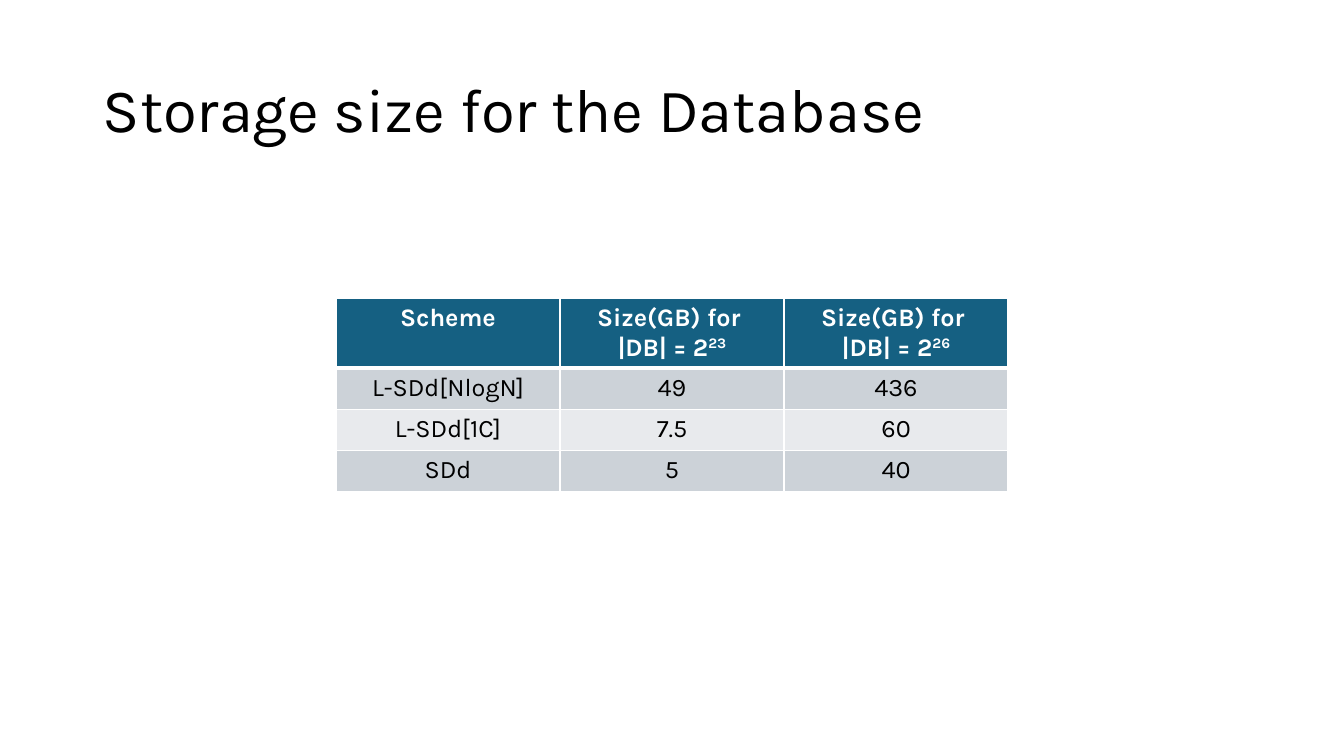
from dataclasses import dataclass

from lxml import etree
from pptx import Presentation
from pptx.dml.color import RGBColor
from pptx.enum.text import MSO_ANCHOR, PP_ALIGN
from pptx.oxml.ns import qn
from pptx.util import Inches, Pt

LEFT, CENTER = PP_ALIGN.LEFT, PP_ALIGN.CENTER
MIDDLE = MSO_ANCHOR.MIDDLE
TITLE_ONLY = 5


@dataclass(frozen=True)
class Theme:
    font: str = "Karla"
    title_size: int = 44
    table_size: int = 18
    ink: str = "000000"
    paper: str = "FFFFFF"
    header: str = "156082"
    bands: tuple = ("CCD2D8", "E8EAED")
    thin: int = 1
    thick: int = 3


THEME = Theme()
SLIDE_W, SLIDE_H = Inches(13.33), Inches(7.5)
HEADER_H, ROW_H = Inches(0.68), Inches(0.41)

# A cell is a list of paragraphs; a paragraph is a list of (text, superscript) runs.
HEADERS = [[[("Scheme", False)]]] + [
    [[("Size(GB) for ", False)], [("|DB| = 2", False), (power, True)]]
    for power in ("23", "26")
]
SCHEMES = [
    ("L-SDd[NlogN]", "49", "436"),
    ("L-SDd[1C]", "7.5", "60"),
    ("SDd", "5", "40"),
]


def add_run(p, text, size, color, bold=False, superscript=False):
    r = p.add_run()
    r.text = text
    r.font.name = THEME.font
    r.font.size = Pt(size)
    r.font.bold = bold
    r.font.color.rgb = RGBColor.from_string(color)
    if superscript:
        r._r.get_or_add_rPr().set("baseline", "30000")


def set_title(s, text):
    sp = s.shapes.title
    sp.left, sp.top = int(SLIDE_W * 0.069), int(SLIDE_H * 0.053)
    sp.width, sp.height = int(SLIDE_W * 0.8625), int(SLIDE_H * 0.193)
    tf = sp.text_frame
    tf.word_wrap = True
    tf.vertical_anchor = MIDDLE
    p = tf.paragraphs[0]
    p.alignment = LEFT
    p.line_spacing = 0.9
    add_run(p, text, THEME.title_size, THEME.ink)


def set_borders(cell, top, bottom):
    tcPr = cell._tc.get_or_add_tcPr()
    widths = {"lnL": THEME.thin, "lnR": THEME.thin, "lnT": top, "lnB": bottom}
    for side, width in widths.items():
        ln = etree.SubElement(tcPr, qn(f"a:{side}"), w=str(Pt(width)))
        fill = etree.SubElement(ln, qn("a:solidFill"))
        etree.SubElement(fill, qn("a:srgbClr"), val=THEME.paper)


def fill_cell(cell, paragraphs, row):
    is_header = row == 0
    set_borders(cell,
                top=THEME.thick if row == 1 else THEME.thin,
                bottom=THEME.thick if is_header else THEME.thin)
    background = THEME.header if is_header else THEME.bands[(row - 1) % 2]
    cell.fill.solid()
    cell.fill.fore_color.rgb = RGBColor.from_string(background)
    tf = cell.text_frame
    for i, runs in enumerate(paragraphs):
        p = tf.add_paragraph() if i else tf.paragraphs[0]
        p.alignment = CENTER
        for text, superscript in runs:
            add_run(p, text, THEME.table_size,
                    THEME.paper if is_header else THEME.ink,
                    is_header, superscript)


def add_size_table(s):
    rows = [HEADERS] + [[[[(value, False)]] for value in scheme] for scheme in SCHEMES]
    heights = [HEADER_H] + [ROW_H] * len(SCHEMES)
    table = s.shapes.add_table(
        len(rows), len(HEADERS), SLIDE_W // 4, int(SLIDE_H * 0.395),
        SLIDE_W // 2, sum(heights)).table
    for r, cells in enumerate(rows):
        table.rows[r].height = heights[r]
        for c, paragraphs in enumerate(cells):
            fill_cell(table.cell(r, c), paragraphs, r)


def main():
    prs = Presentation()
    prs.slide_width, prs.slide_height = SLIDE_W, SLIDE_H
    s = prs.slides.add_slide(prs.slide_layouts[TITLE_ONLY])
    set_title(s, "Storage size for the Database")
    add_size_table(s)
    prs.save("out.pptx")


if __name__ == "__main__":
    main()
